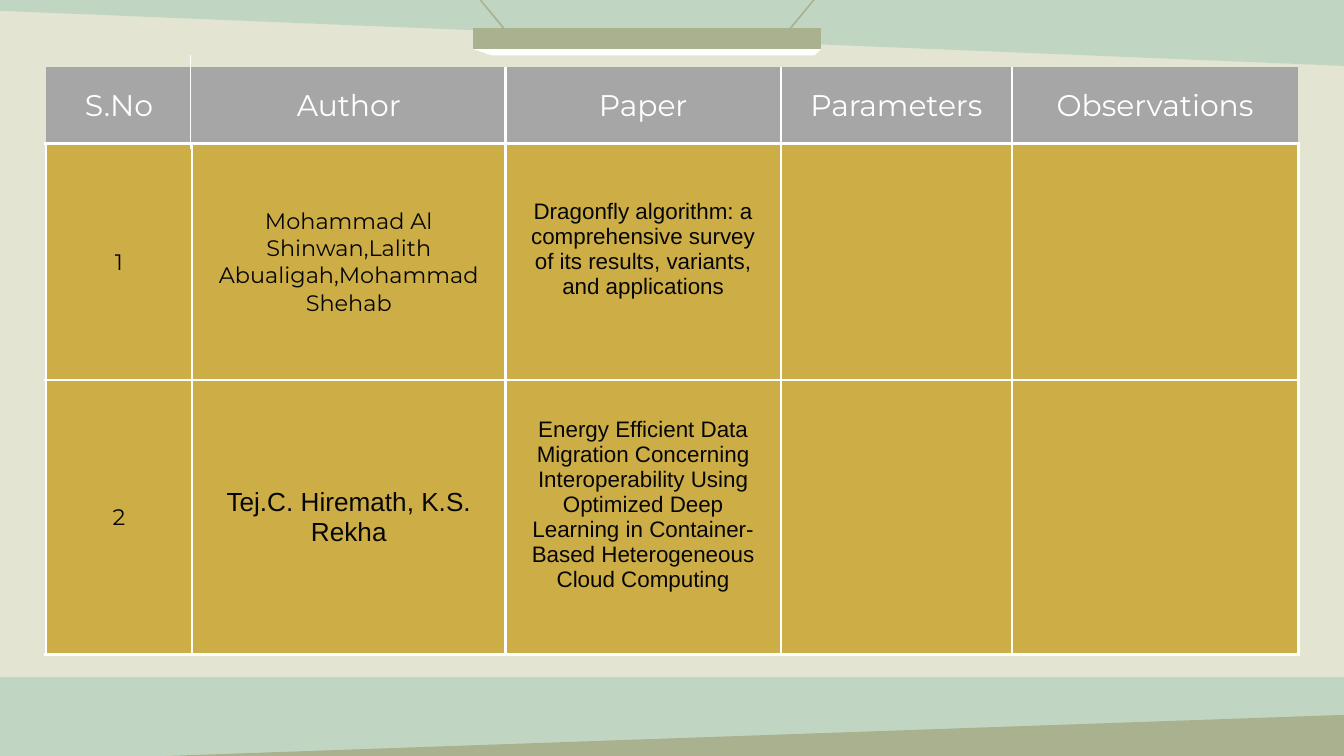
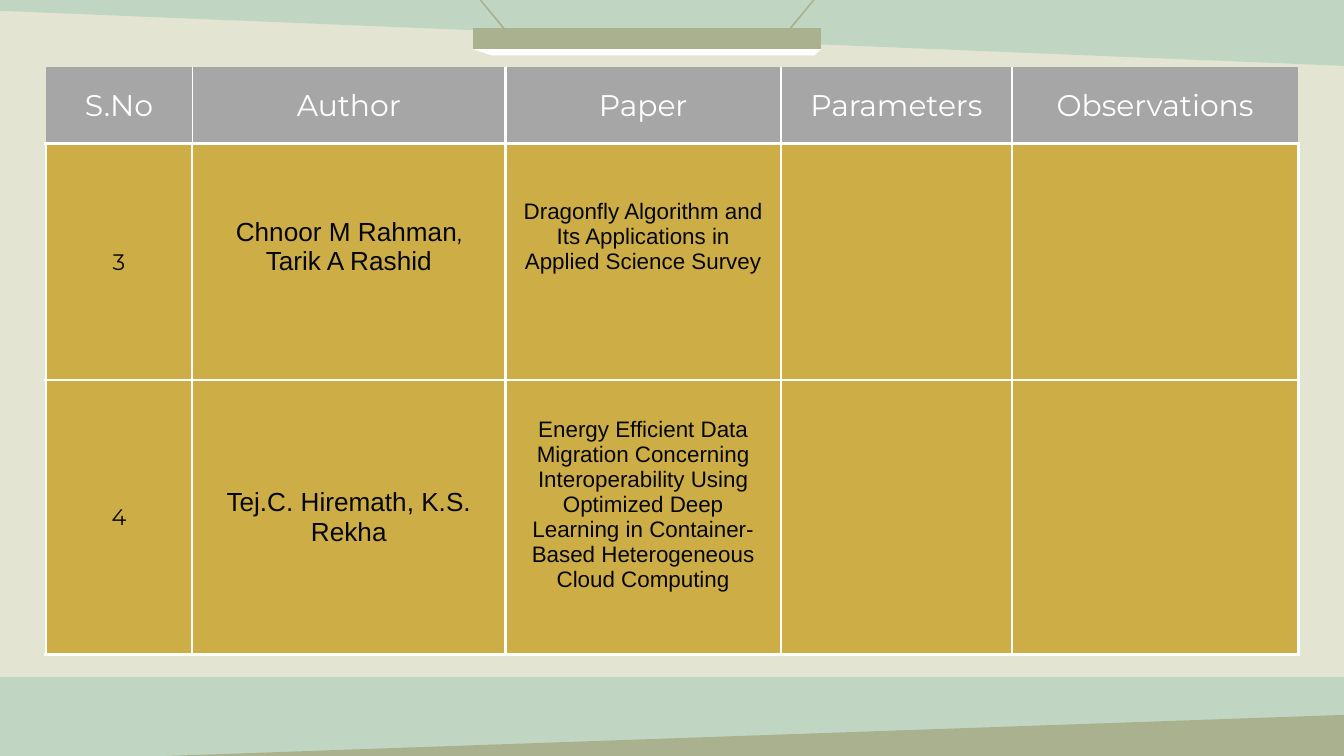
from lxml.etree import SubElement
from pptx import Presentation
from pptx.dml.color import RGBColor
from pptx.enum.shapes import MSO_CONNECTOR as Connector, MSO_SHAPE as Shape
from pptx.enum.text import MSO_ANCHOR as Anchor, PP_ALIGN as Align
from pptx.oxml import parse_xml
from pptx.oxml.ns import nsdecls, qn
from pptx.util import Pt

CREAM = RGBColor(0xE3, 0xE5, 0xD2)
MINT = RGBColor(0xC0, 0xD6, 0xC2)
OLIVE = RGBColor(0xAA, 0xB1, 0x8E)
WHITE = RGBColor(0xFF, 0xFF, 0xFF)
GREY = RGBColor(0xA6, 0xA6, 0xA6)
GOLD = RGBColor(0xCD, 0xAE, 0x46)
INK = RGBColor(0x06, 0x06, 0x07)

SANS, PLAIN = "Montserrat", "Arial"
WIDTH, HEIGHT = 720, 405
TABLE_LEFT, TABLE_TOP = 24.5, 36
COLUMNS = [78.5, 167.8, 147.6, 123.8, 153.4]
ROWS = [41, 126.7, 146.9]
HEADINGS = ["S.No", "Author", "Paper", "Parameters", "Observations"]
INSET = 7.2
BORDER = 1.5
SIDES = ["L", "R", "T", "B"]

LEFT_CORD = [(237.6, -24.5), (236.9, -24.5), (272.2, 18.7), (272.9, 18)]
SIGN_AXIS = 346.7
RIGHT_CORD = [(2 * SIGN_AXIS - x, y) for x, y in LEFT_CORD]
BOTTOM_BAND = [(0, 362.9), (0, 407.5), (WIDTH, 407.5), (WIDTH, 362.9)]
TOP_BAND = [(0, 0), (0, 5.8), (WIDTH, 35.3), (WIDTH, 0)]
SIGN = [(253.4, 15.1), (253.4, 26.4), (439.9, 26.4), (439.9, 15.1)]
SIGN_EDGE = [(253.4, 26.4), (263.5, 29.7), (436.3, 29.7), (439.9, 26.4)]

MIGRATION_AUTHORS = [("Tej.C. Hiremath, K.S. Rekha", 14, PLAIN)]
MIGRATION_PAPER = [(
    "Energy Efficient Data Migration Concerning Interoperability Using "
    "Optimized Deep Learning in Container-Based Heterogeneous Cloud Computing",
    12, PLAIN)]

# Each row: number, author spans, author lift, paper spans, paper lift
SURVEYS = [
    {
        "rule": (102.2, 79.9, 29.5),
        "rows": [
            ("1", [("Mohammad Al Shinwan,Lalith Abualigah,Mohammad Shehab", 12, SANS)], 0,
             [("Dragonfly algorithm: a comprehensive survey of its results, "
               "variants, and applications", 12, PLAIN)], 13.4),
            ("2", MIGRATION_AUTHORS, 0, MIGRATION_PAPER, 13.4),
        ],
    },
    {
        "rule": (103, 86.4, 36),
        "rows": [
            ("3", [("Chnoor M Rahman", 14, PLAIN), (",", 12, SANS),
                   (" Tarik A Rashid", 14, PLAIN)], 16.1,
             [("Dragonfly Algorithm and Its Applications in Applied Science Survey",
               12, PLAIN)], 26.8),
            ("4", MIGRATION_AUTHORS, 0, MIGRATION_PAPER, 13.4),
        ],
    },
]


def paint(shape, color):
    shape.shadow.inherit = False
    shape.fill.solid()
    shape.fill.fore_color.rgb = color
    shape.line.fill.background()


def add_outline(page, points, color):
    corners = [(Pt(x), Pt(y)) for x, y in points]
    builder = page.shapes.build_freeform(*corners[0], scale=1.0)
    builder.add_line_segments(corners[1:], close=True)
    paint(builder.convert_to_shape(), color)


def add_backdrop(page):
    page.background.fill.solid()
    page.background.fill.fore_color.rgb = CREAM
    add_outline(page, BOTTOM_BAND, MINT)
    slope = page.shapes.add_shape(Shape.RIGHT_TRIANGLE, Pt(-2.2), Pt(383), Pt(722.2), Pt(25.2))
    slope._element.spPr.xfrm.set("flipH", "1")
    paint(slope, OLIVE)
    add_outline(page, TOP_BAND, MINT)
    for points in (LEFT_CORD, RIGHT_CORD, SIGN):
        add_outline(page, points, OLIVE)
    add_outline(page, SIGN_EDGE, WHITE)


def set_borders(cell, shown):
    properties = cell._tc.get_or_add_tcPr()
    for index, side in enumerate(SIDES):
        fill = (f'<a:solidFill><a:srgbClr val="{WHITE}"/></a:solidFill>'
                if side in shown else "<a:noFill/>")
        line = parse_xml(f'<a:ln{side} {nsdecls("a")} w="{Pt(BORDER)}">{fill}</a:ln{side}>')
        properties.insert(index, line)


def style_cell(cell, color, borders, lift=0):
    cell.fill.solid()
    cell.fill.fore_color.rgb = color
    cell.vertical_anchor = Anchor.MIDDLE
    cell.margin_left = cell.margin_right = cell.margin_top = Pt(INSET)
    cell.margin_bottom = Pt(INSET + lift)
    set_borders(cell, borders)


def write_spans(cell, spans, color):
    para = cell.text_frame.paragraphs[0]
    para.alignment = Align.CENTER
    for text, size, font in spans:
        span = para.add_run()
        span.text = text
        span.font.size = Pt(size)
        span.font.name = font
        span.font.color.rgb = color


def header_borders(column):
    last = len(COLUMNS) - 1
    return "B" + ("L" if column > 1 else "") + ("R" if 0 < column < last else "")


def add_survey_table(page, rows):
    frame = page.shapes.add_table(len(ROWS), len(COLUMNS), Pt(TABLE_LEFT), Pt(TABLE_TOP),
                                  Pt(sum(COLUMNS)), Pt(sum(ROWS)))
    table = frame.table
    table.first_row = table.horz_banding = False
    for column, width in zip(table.columns, COLUMNS):
        column.width = Pt(width)
    for row, height in zip(table.rows, ROWS):
        row.height = Pt(height)
    for index, heading in enumerate(HEADINGS):
        cell = table.cell(0, index)
        style_cell(cell, GREY, header_borders(index))
        write_spans(cell, [(heading, 16, SANS)], WHITE)
    for row, (number, authors, author_lift, paper, paper_lift) in enumerate(rows, 1):
        contents = [([(number, 12, SANS)], 0), (authors, author_lift),
                    (paper, paper_lift), ([], 0), ([], 0)]
        for index, (spans, lift) in enumerate(contents):
            cell = table.cell(row, index)
            style_cell(cell, GOLD, SIDES, lift)
            write_spans(cell, spans, INK)


def add_rule(page, x, start, end):
    rule = page.shapes.add_connector(Connector.STRAIGHT, Pt(x), Pt(start), Pt(x), Pt(end))
    rule.line.color.rgb = WHITE
    rule.line.width = Pt(0.75)
    SubElement(rule._element.spPr, qn("a:effectLst"))


def main():
    deck = Presentation()
    deck.slide_width, deck.slide_height = Pt(WIDTH), Pt(HEIGHT)
    for survey in SURVEYS:
        page = deck.slides.add_slide(deck.slide_layouts[6])
        add_backdrop(page)
        add_survey_table(page, survey["rows"])
        add_rule(page, *survey["rule"])
    deck.save("out.pptx")


if __name__ == "__main__":
    main()
